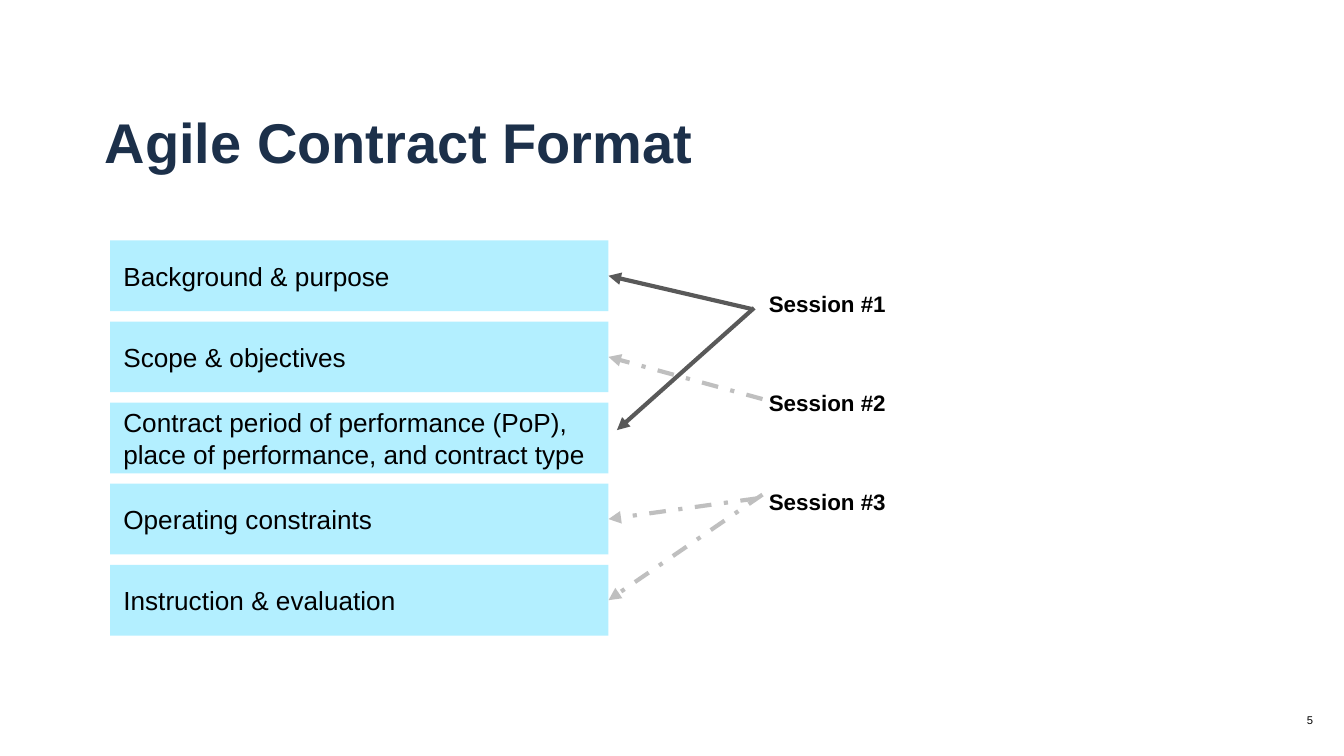
from dataclasses import dataclass

from lxml import etree
from pptx import Presentation
from pptx.dml.color import RGBColor
from pptx.enum.dml import MSO_LINE
from pptx.enum.shapes import MSO_CONNECTOR, MSO_SHAPE
from pptx.enum.text import MSO_ANCHOR, PP_ALIGN
from pptx.oxml.ns import qn
from pptx.util import Pt

RECT = MSO_SHAPE.RECTANGLE
STRAIGHT = MSO_CONNECTOR.STRAIGHT
DASH_DOT = MSO_LINE.DASH_DOT
TOP, MIDDLE = MSO_ANCHOR.TOP, MSO_ANCHOR.MIDDLE
LEFT, RIGHT = PP_ALIGN.LEFT, PP_ALIGN.RIGHT

FONT = "Arial"
NAVY, BLACK, CYAN = "1C304A", "000000", "B3EFFF"
DARK_GREY, LIGHT_GREY = "595959", "BFBFBF"

# Section column
BOX_X, BOX_Y, BOX_W, BOX_H, BOX_PITCH = 59, 128.8, 267, 37.9, 43.45
SECTIONS = [
    "Background & purpose",
    "Scope & objectives",
    "Contract period of performance (PoP), place of performance, and contract type",
    "Operating constraints",
    "Instruction & evaluation",
]
SESSIONS = ["Session #1", "Session #2", "Session #3"]


@dataclass
class TextStyle:
    size: float
    color: str = BLACK
    bold: bool = False
    align: PP_ALIGN = LEFT
    anchor: MSO_ANCHOR = MIDDLE
    inset: float = 7.2
    top_inset: float = 7.2
    gap: float = 0


@dataclass
class Arrow:
    x: float
    y: float
    section: int
    current: bool = False
    dx: float = 0
    dy: float = 0


ARROWS = [
    Arrow(408.5, 213.8, 1),
    Arrow(408.5, 265, 4),
    Arrow(405.5, 267, 3),
    Arrow(402.5, 165.5, 0, current=True),
    Arrow(404, 165, 2, current=True, dx=4.5, dy=-4.2),
]


def rgb(color: str) -> RGBColor:
    return RGBColor.from_string(color)


def write(s, lines: list[str], style: TextStyle) -> None:
    tf = s.text_frame
    tf.word_wrap = True
    tf.vertical_anchor = style.anchor
    tf.margin_left = tf.margin_right = tf.margin_bottom = Pt(style.inset)
    tf.margin_top = Pt(style.top_inset)
    for i, line in enumerate(lines):
        p = tf.add_paragraph() if i else tf.paragraphs[0]
        p.text = line
        p.alignment = style.align
        p.space_before = Pt(style.gap if i else 0)
        p.font.name = FONT
        p.font.size = Pt(style.size)
        p.font.bold = style.bold
        p.font.color.rgb = rgb(style.color)


def add_text(sp, x: float, y: float, w: float, h: float,
             lines: list[str], style: TextStyle) -> None:
    write(sp.add_textbox(Pt(x), Pt(y), Pt(w), Pt(h)), lines, style)


def add_section(sp, index: int, label: str) -> None:
    y = BOX_Y + index * BOX_PITCH
    s = sp.add_shape(RECT, Pt(BOX_X), Pt(y), Pt(BOX_W), Pt(BOX_H))
    s.shadow.inherit = False
    s.fill.solid()
    s.fill.fore_color.rgb = rgb(CYAN)
    s.line.fill.background()
    write(s, [label], TextStyle(14))


def add_arrow(sp, arrow: Arrow) -> None:
    end_x = BOX_X + BOX_W + arrow.dx
    end_y = BOX_Y + arrow.section * BOX_PITCH + BOX_H / 2 + arrow.dy
    s = sp.add_connector(STRAIGHT, Pt(arrow.x), Pt(arrow.y), Pt(end_x), Pt(end_y))
    s.line.width = Pt(2.25)
    s.line.color.rgb = rgb(DARK_GREY if arrow.current else LIGHT_GREY)
    if not arrow.current:
        s.line.dash_style = DASH_DOT
    sp_pr = s.line._get_or_add_ln().getparent()
    etree.SubElement(s.line._get_or_add_ln(), qn("a:tailEnd"), type="triangle")
    etree.SubElement(sp_pr, qn("a:effectLst"))


def main() -> None:
    prs = Presentation()
    prs.slide_width, prs.slide_height = Pt(720), Pt(405)
    sp = prs.slides.add_slide(prs.slide_layouts[6]).shapes

    # Title
    add_text(sp, 54.7, 52.6, 399, 75, ["Agile Contract Format"],
             TextStyle(30, NAVY, bold=True, anchor=TOP, inset=1.5, top_inset=5))

    # Contract sections
    for i, label in enumerate(SECTIONS):
        add_section(sp, i, label)

    # Slide number
    add_text(sp, 667.4, 375, 43.2, 21, ["5"], TextStyle(6, align=RIGHT))

    # Sessions
    add_text(sp, 404.8, 121, 248.4, 242, SESSIONS,
             TextStyle(12, bold=True, anchor=TOP, top_inset=34.2, gap=38.7))

    # Arrows from sessions to sections
    for arrow in ARROWS:
        add_arrow(sp, arrow)

    prs.save("out.pptx")


if __name__ == "__main__":
    main()
